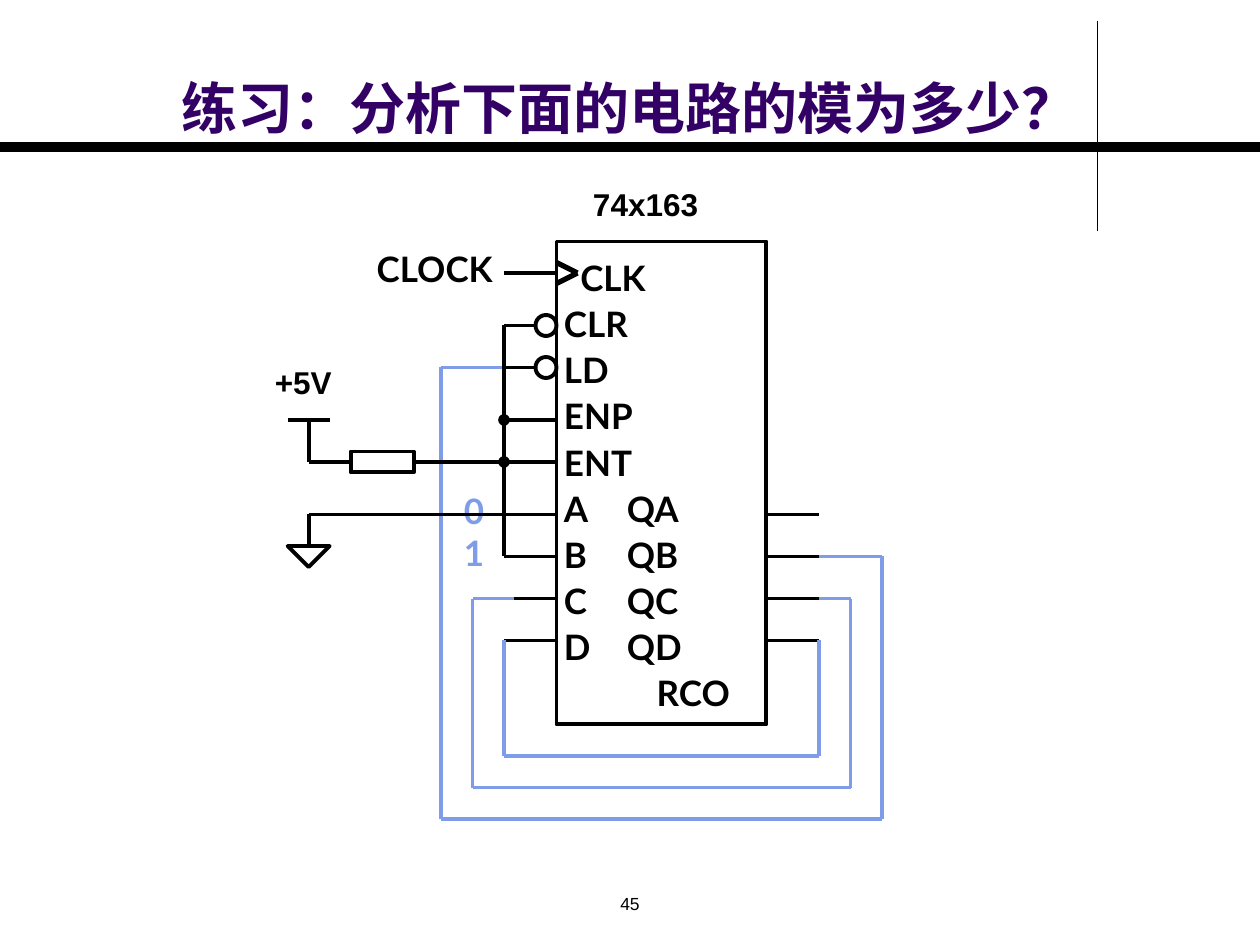
from dataclasses import dataclass
from itertools import pairwise

from lxml.etree import SubElement
from pptx import Presentation
from pptx.dml.color import RGBColor
from pptx.enum.shapes import MSO_CONNECTOR as Link, MSO_SHAPE as Shape
from pptx.enum.text import MSO_ANCHOR as Anchor, MSO_AUTO_SIZE as AutoSize, PP_ALIGN as Align
from pptx.oxml.ns import qn
from pptx.util import Cm, Pt

BLACK = RGBColor(0x00, 0x00, 0x00)
BLUE = RGBColor(0x7E, 0x9C, 0xE8)
PURPLE = RGBColor(0x33, 0x00, 0x66)
INCH = 2.54
STEP = INCH / 12
LEFT, RIGHT = 53, 73
BUS, OUTPUT = 48, 78
SUPPLY = 29.4


@dataclass(frozen=True)
class Wire:
    points: tuple
    color: RGBColor = BLACK
    width: float = 2.25
    dot: bool = False


@dataclass(frozen=True)
class Outline:
    kind: Shape
    x: float
    y: float
    width: float
    height: float
    rotation: int = 0


@dataclass(frozen=True)
class Label:
    lines: tuple
    x: float
    y: float
    width: float
    height: float
    font: str
    size: int
    color: RGBColor = BLACK
    bold: bool = True
    align: Align = Align.LEFT


@dataclass(frozen=True)
class Pin:
    text: str
    indent: float = 0
    tab: float = 0


def grid(steps: float) -> Cm:
    return Cm(steps * STEP)


def style(paragraph, font: str, size: int, color: RGBColor, bold: bool = True) -> None:
    for run in paragraph.runs:
        run.font.name, run.font.size, run.font.bold = font, Pt(size), bold
        run.font.color.rgb = color


def draw_wire(shapes, wire: Wire) -> None:
    for start, end in pairwise(wire.points):
        connector = shapes.add_connector(Link.STRAIGHT, *map(grid, start + end))
        connector.line.color.rgb = wire.color
        connector.line.width = Pt(wire.width)
        properties = connector._element.spPr
        if wire.dot:
            SubElement(properties.find(qn("a:ln")), qn("a:tailEnd"), type="oval")
        SubElement(properties, qn("a:effectLst"))


def draw_outline(shapes, outline: Outline):
    box = map(grid, (outline.x, outline.y, outline.width, outline.height))
    shape = shapes.add_shape(outline.kind, *box)
    shape.shadow.inherit = False
    shape.fill.background()
    shape.line.color.rgb = BLACK
    shape.line.width = Pt(2.25)
    shape.rotation = outline.rotation
    return shape


def draw_label(shapes, label: Label) -> None:
    box = map(grid, (label.x, label.y, label.width, label.height))
    frame = shapes.add_textbox(*box).text_frame
    frame.word_wrap = label.align == Align.CENTER
    frame.text = "\n".join(label.lines)
    for paragraph in frame.paragraphs:
        paragraph.alignment = label.align
        style(paragraph, label.font, label.size, label.color, label.bold)


def write_pins(chip, pins: tuple) -> None:
    frame = chip.text_frame
    frame.word_wrap = True
    frame.vertical_anchor = Anchor.MIDDLE
    frame.margin_left = Cm(0.15)
    frame.margin_right = Cm(0.25)
    frame.margin_top = frame.margin_bottom = Cm(0.13)
    frame.text = "\n".join(pin.text for pin in pins)
    for paragraph, pin in zip(frame.paragraphs, pins):
        paragraph.alignment = Align.LEFT
        paragraph.line_spacing = 1.1
        style(paragraph, "Lato", 20, BLACK)
        properties = paragraph._p.get_or_add_pPr()
        properties.set("marL", str(Cm(pin.indent)))
        properties.set("indent", "0")
        if pin.tab:
            stops = SubElement(properties, qn("a:tabLst"))
            SubElement(stops, qn("a:tab"), pos=str(Cm(pin.tab)), algn="l")


def write_title(title) -> None:
    title.left, title.top, title.width, title.height = map(grid, (8.5, 4, 103, 10))
    frame = title.text_frame
    frame.text = "练习：分析下面的电路的模为多少？"
    frame.auto_size = AutoSize.NONE
    frame.vertical_anchor = Anchor.BOTTOM
    paragraph = frame.paragraphs[0]
    paragraph.alignment = Align.CENTER
    style(paragraph, "Noto Sans CJK JP", 32, PURPLE)
    properties = paragraph.runs[0]._r.get_or_add_rPr()
    SubElement(properties, qn("a:ea"), typeface="Noto Sans CJK JP")


PINS = (
    Pin("CLK", indent=0.33),
    Pin("CLR"),
    Pin("LD"),
    Pin("ENP"),
    Pin("ENT"),
    Pin("A\tQA", tab=2.35),
    Pin("B\tQB", tab=2.35),
    Pin("C\tQC", tab=2.35),
    Pin("D\tQD", tab=2.42),
    Pin("RCO", indent=1.87),
)
OUTLINES = (
    Outline(Shape.OVAL, 51, 30, 2, 2),
    Outline(Shape.OVAL, 51, 34, 2, 2),
    Outline(Shape.RECTANGLE, 33.4, 43, 6, 2),
    Outline(Shape.ISOSCELES_TRIANGLE, 27.4, 52, 4, 2, rotation=180),
)
STUBS = (
    *(Wire(((BUS, y), (LEFT - 2, y))) for y in (31, 35)),
    *(Wire(((BUS, y), (LEFT, y))) for y in (26, 40, 44, 49, 53, 57, 61)),
    *(Wire(((RIGHT, y), (OUTPUT, y))) for y in (49, 53, 57, 61)),
    Wire(((LEFT, 25), (LEFT + 2, 26), (LEFT, 27)), width=3),
)
FEEDBACK = (
    Wire(((OUTPUT, 61), (OUTPUT, 72), (BUS, 72), (BUS, 61)), BLUE),
    Wire(((OUTPUT, 53), (84, 53), (84, 78), (42, 78), (42, 35), (BUS, 35)), BLUE),
    Wire(((OUTPUT, 57), (81, 57), (81, 75), (45, 75), (45, 57), (49, 57)), BLUE),
)
SUPPLIES = (
    Wire(((39.4, 44), (BUS, 44))),
    Wire(((33.4, 44), (SUPPLY, 44), (SUPPLY, 40))),
    Wire(((SUPPLY - 2, 40), (SUPPLY + 2, 40))),
    Wire(((BUS, 31), (BUS, 40), (BUS, 44)), dot=True),
    Wire(((BUS, 44), (BUS, 53))),
    Wire(((49, 49), (SUPPLY, 49), (SUPPLY, 52))),
)
LABELS = (
    Label(("74x163",), 55.3, 17, 15.8, 6, "Arial", 18),
    Label(("0", "1"), 43, 46, 4.6, 9.2, "Lato", 20, BLUE),
    Label(("+5V",), 25, 34, 8.4, 6, "Arial", 18),
    Label(("CLOCK",), 34.7, 23, 13.7, 5.2, "Lato", 20),
    Label(("45",), 41, 84.5, 38, 3.5, "Arial", 10, bold=False, align=Align.CENTER),
)
RULES = (
    Wire(((104.5, 2), (104.5, 22)), width=0.75),
    Wire(((0, 14), (120, 14)), width=6),
)


def main() -> None:
    presentation = Presentation()
    presentation.slide_width = Cm(10 * INCH)
    presentation.slide_height = Cm(7.5 * INCH)
    slide = presentation.slides.add_slide(presentation.slide_layouts[5])
    shapes = slide.shapes
    write_title(shapes.title)
    for rule in RULES:
        draw_wire(shapes, rule)
    chip = draw_outline(shapes, Outline(Shape.RECTANGLE, LEFT, 23, RIGHT - LEFT, 46))
    write_pins(chip, PINS)
    for outline in OUTLINES:
        draw_outline(shapes, outline)
    for label in LABELS:
        draw_label(shapes, label)
    for wire in STUBS + FEEDBACK + SUPPLIES:
        draw_wire(shapes, wire)
    presentation.save("out.pptx")


if __name__ == "__main__":
    main()
